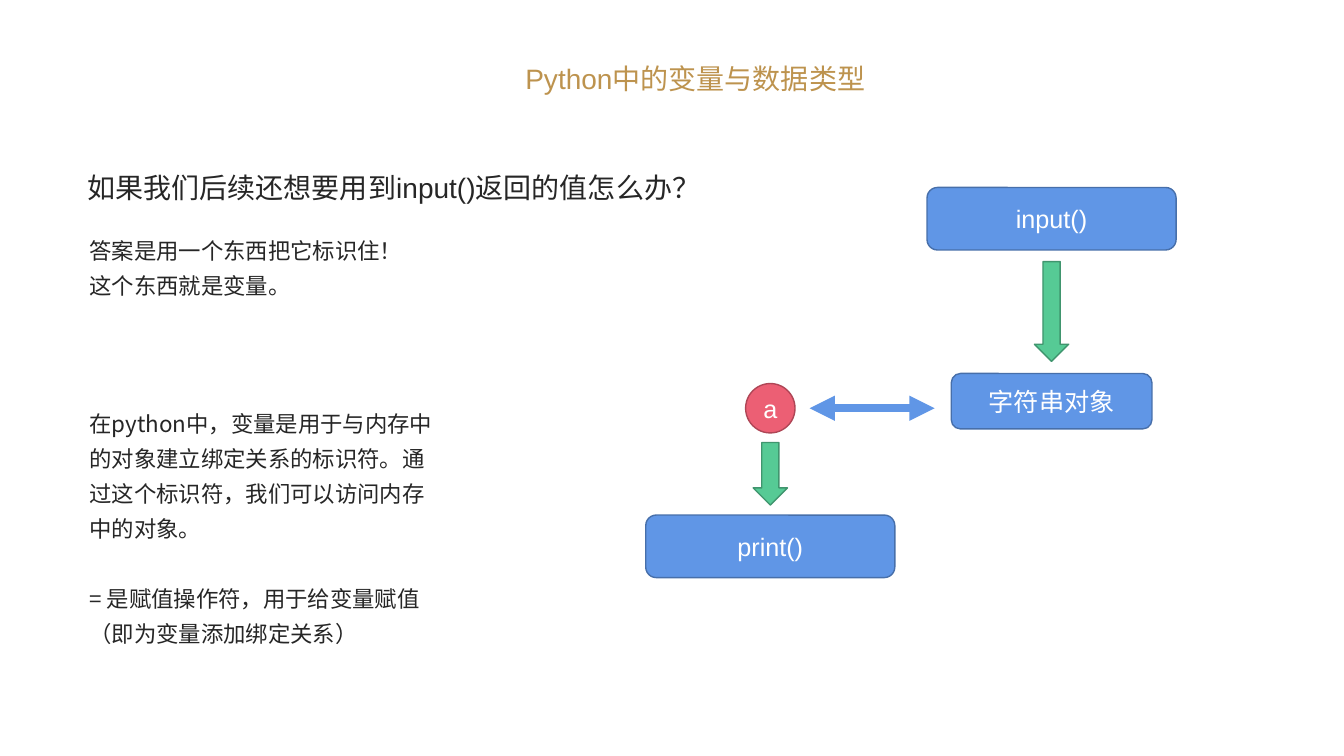
from pptx import Presentation
from pptx.dml.color import RGBColor
from pptx.enum.shapes import MSO_CONNECTOR as Connector, MSO_SHAPE as Shape
from pptx.enum.text import MSO_ANCHOR as Anchor, PP_ALIGN as Align
from pptx.oxml.ns import qn
from pptx.util import Inches, Pt
from lxml.etree import SubElement

LATIN, CHINESE = "Arial", "Noto Sans CJK SC"
GOLD, INK, WHITE = "BD934E", "262626", "FFFFFF"
BLUE, GREEN, RED = ("6096E6", "476FAA"), ("56CA95", "40956E"), ("EC5F74", "AF4656")


def color(value):
    return RGBColor.from_string(value)


def write(shape, *lines, size=18, ink=INK, font=LATIN, align=Align.LEFT,
          anchor=Anchor.TOP, wrap=True, spacing=None, gap=0):
    """Fill a shape with paragraphs, set apart by gap points."""
    frame = shape.text_frame
    frame.word_wrap = wrap
    frame.vertical_anchor = anchor
    for index, line in enumerate(lines):
        para = frame.add_paragraph() if index else frame.paragraphs[0]
        para.alignment = align
        para.space_before = Pt(gap if index else 0)
        if spacing:
            para.line_spacing = spacing
        run = para.add_run()
        run.text = line
        run.font.name = font
        run.font.size = Pt(size)
        run.font.color.rgb = color(ink)
        SubElement(run.font._element, qn("a:ea"), typeface=CHINESE)


def add_text(page, box, *lines, **style):
    write(page.shapes.add_textbox(*map(Inches, box)), *lines, **style)


def add_node(page, kind, center, size, colors, label=None):
    """Draw a preset shape around its centre."""
    (x, y), (width, height) = center, size
    node = page.shapes.add_shape(kind, Inches(x - width / 2), Inches(y - height / 2),
                                 Inches(width), Inches(height))
    node.shadow.inherit = False
    node.fill.solid()
    node.fill.fore_color.rgb = color(colors[0])
    node.line.color.rgb = color(colors[1])
    node.line.width = Pt(1)
    if label:
        write(node, label, ink=WHITE, align=Align.CENTER, anchor=Anchor.MIDDLE)


def add_double_arrow(page, left, right, y):
    arrow = page.shapes.add_connector(Connector.STRAIGHT, Inches(left), Inches(y),
                                      Inches(right), Inches(y))
    arrow.line.color.rgb = color(BLUE[0])
    arrow.line.width = Pt(6)
    for end in ("a:headEnd", "a:tailEnd"):
        SubElement(arrow.line._get_or_add_ln(), qn(end), type="triangle")
    SubElement(arrow._element.spPr, qn("a:effectLst"))


def add_title(page, box):
    title = page.shapes.title
    title.left, title.top, title.width, title.height = map(Inches, box)
    write(title, "Python中的变量与数据类型", size=20, ink=GOLD,
          anchor=Anchor.MIDDLE, wrap=False)


def add_explanation(page, left, top, width):
    body = dict(size=16, font=CHINESE, spacing=1.3)
    add_text(page, (left - 0.02, top, 6.33, 0.44),
             "如果我们后续还想要用到input()返回的值怎么办？", size=20, wrap=False)
    add_text(page, (left, top + 0.58, width, 0.77),
             "答案是用一个东西把它标识住！", "这个东西就是变量。", **body)
    add_text(page, (left, top + 2.3, width, 2.52),
             "在python中，变量是用于与内存中的对象建立绑定关系的标识符。"
             "通过这个标识符，我们可以访问内存中的对象。",
             "= 是赋值操作符，用于给变量赋值（即为变量添加绑定关系）", gap=25, **body)


def add_binding_diagram(page, left, top):
    variable_x, object_x = left + 1.23, left + 4.02
    call_size = (2.47, 0.62)
    add_node(page, Shape.ROUNDED_RECTANGLE, (object_x, top + 0.31), call_size, BLUE, "input()")
    add_node(page, Shape.DOWN_ARROW, (object_x, top + 1.23), (0.34, 0.99), GREEN)
    add_node(page, Shape.ROUNDED_RECTANGLE, (object_x, top + 2.12), (1.99, 0.55), BLUE, "字符串对象")
    add_double_arrow(page, variable_x + 0.39, object_x - 1.16, top + 2.19)
    add_node(page, Shape.OVAL, (variable_x, top + 2.19), (0.49, 0.49), RED, "a")
    add_node(page, Shape.DOWN_ARROW, (variable_x, top + 2.84), (0.34, 0.62), GREEN)
    add_node(page, Shape.ROUNDED_RECTANGLE, (variable_x, top + 3.56), call_size, BLUE, "print()")


def main():
    deck = Presentation()
    deck.slide_width, deck.slide_height = Inches(13.33), Inches(7.5)
    page = deck.slides.add_slide(deck.slide_layouts.get_by_name("Title Only"))
    add_title(page, (5.11, 0.56, 3.73, 0.44))
    add_explanation(page, 0.79, 1.64, 3.66)
    add_binding_diagram(page, 6.41, 1.86)
    deck.save("out.pptx")


if __name__ == "__main__":
    main()
